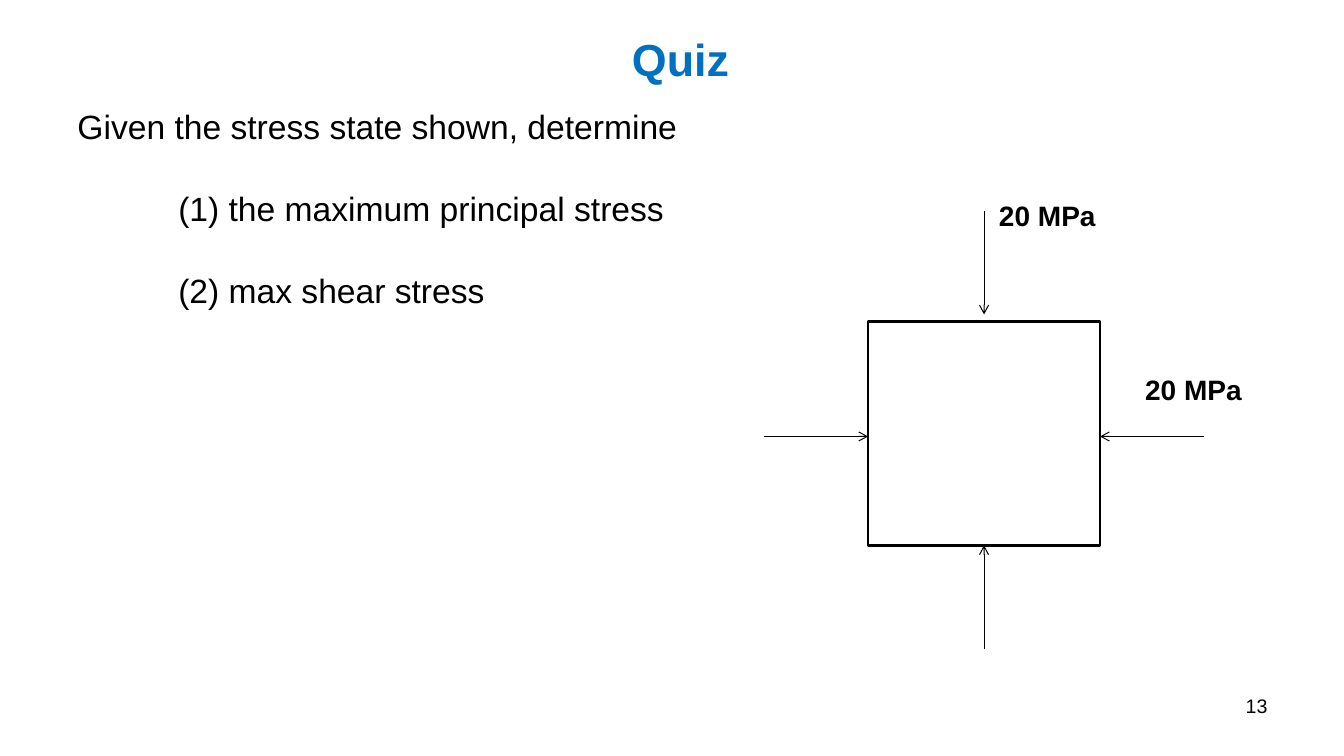
from dataclasses import dataclass

from lxml import etree
from pptx import Presentation
from pptx.dml.color import RGBColor
from pptx.enum.shapes import MSO_CONNECTOR, MSO_SHAPE
from pptx.enum.text import MSO_ANCHOR, MSO_AUTO_SIZE, PP_ALIGN
from pptx.oxml.ns import qn
from pptx.util import Inches, Pt

LEFT, CENTER, RIGHT = PP_ALIGN.LEFT, PP_ALIGN.CENTER, PP_ALIGN.RIGHT
TOP, MIDDLE = MSO_ANCHOR.TOP, MSO_ANCHOR.MIDDLE
FIT_SHAPE = MSO_AUTO_SIZE.SHAPE_TO_FIT_TEXT
STRAIGHT = MSO_CONNECTOR.STRAIGHT
RECTANGLE = MSO_SHAPE.RECTANGLE


@dataclass(frozen=True)
class Theme:
    font: str = "Arial"
    ink: RGBColor = RGBColor(0, 0, 0)
    accent: RGBColor = RGBColor(0x00, 0x70, 0xC0)
    title: int = 32
    body: int = 24
    label: int = 20
    number: int = 14
    item_gap: int = 30
    element_line: float = 2
    arrow_line: float = 0.75


THEME = Theme()


def style(p, size, color=THEME.ink, bold=False):
    p.font.name = THEME.font
    p.font.size = Pt(size)
    p.font.bold = bold
    p.font.color.rgb = color


def add_text(shapes, box, text, size, color=THEME.ink, bold=False,
             align=LEFT, anchor=TOP, wrap=True):
    tf = shapes.add_textbox(*map(Inches, box)).text_frame
    tf.word_wrap = wrap
    tf.vertical_anchor = anchor
    p = tf.paragraphs[0]
    p.text = text
    p.alignment = align
    style(p, size, color, bold)
    return tf


def add_question(shapes, box, lead, items):
    """Place the lead sentence with its indented items below it."""
    tf = add_text(shapes, box, lead, THEME.body)
    tf.auto_size = FIT_SHAPE
    for item in items:
        p = tf.add_paragraph()
        p.text = item
        p.space_before = Pt(THEME.item_gap)
        style(p, THEME.body)
        pPr = p._p.get_or_add_pPr()
        pPr.set("marL", str(Inches(1)))
        pPr.set("indent", "0")


def add_element(shapes, box):
    sp = shapes.add_shape(RECTANGLE, *map(Inches, box))
    sp.shadow.inherit = False
    sp.fill.background()
    sp.line.color.rgb = THEME.ink
    sp.line.width = Pt(THEME.element_line)


def add_arrow(shapes, start, end):
    line = shapes.add_connector(STRAIGHT, *map(Inches, (*start, *end)))
    line.line.color.rgb = THEME.ink
    line.line.width = Pt(THEME.arrow_line)
    etree.SubElement(line.line._get_or_add_ln(), qn("a:tailEnd"), type="arrow")
    etree.SubElement(line._element.spPr, qn("a:effectLst"))


def add_stress_state(slide):
    """Draw the square element with an arrow pressing on each side."""
    shapes = slide.shapes.add_group_shape().shapes
    left, top, width, height = 8.61, 3.19, 2.3, 2.22
    right, bottom = left + width, top + height
    mid_x, mid_y = left + width / 2, 4.33
    length, top_gap = 1.03, 0.07

    add_element(shapes, (left, top, width, height))
    for tip, (dx, dy) in (
        ((mid_x, bottom), (0, 1)),
        ((right, mid_y), (1, 0)),
        ((left, mid_y), (-1, 0)),
        ((mid_x, top - top_gap), (0, -1)),
    ):
        start = (tip[0] + dx * length, tip[1] + dy * length)
        add_arrow(shapes, start, tip)

    for x, y in ((9.81, 1.92), (11.26, 3.65)):
        tf = add_text(shapes, (x, y, 1.17, 0.44), "20 MPa", THEME.label,
                      bold=True, wrap=False)
        tf.auto_size = FIT_SHAPE


def main():
    prs = Presentation()
    prs.slide_width, prs.slide_height = Inches(13.33), Inches(7.5)
    slide = prs.slides.add_slide(prs.slide_layouts[6])

    add_text(slide.shapes, (2.5, 0.25, 8.5, 0.67), "Quiz", THEME.title,
             THEME.accent, bold=True, align=CENTER, anchor=MIDDLE)
    add_text(slide.shapes, (9.56, 6.83, 3.11, 0.52), "13", THEME.number,
             align=RIGHT)
    add_question(slide.shapes, (0.67, 1, 6.67, 2.12),
                 "Given the stress state shown, determine",
                 ("(1) the maximum principal stress", "(2) max shear stress"))
    add_stress_state(slide)

    prs.save("out.pptx")


if __name__ == "__main__":
    main()
